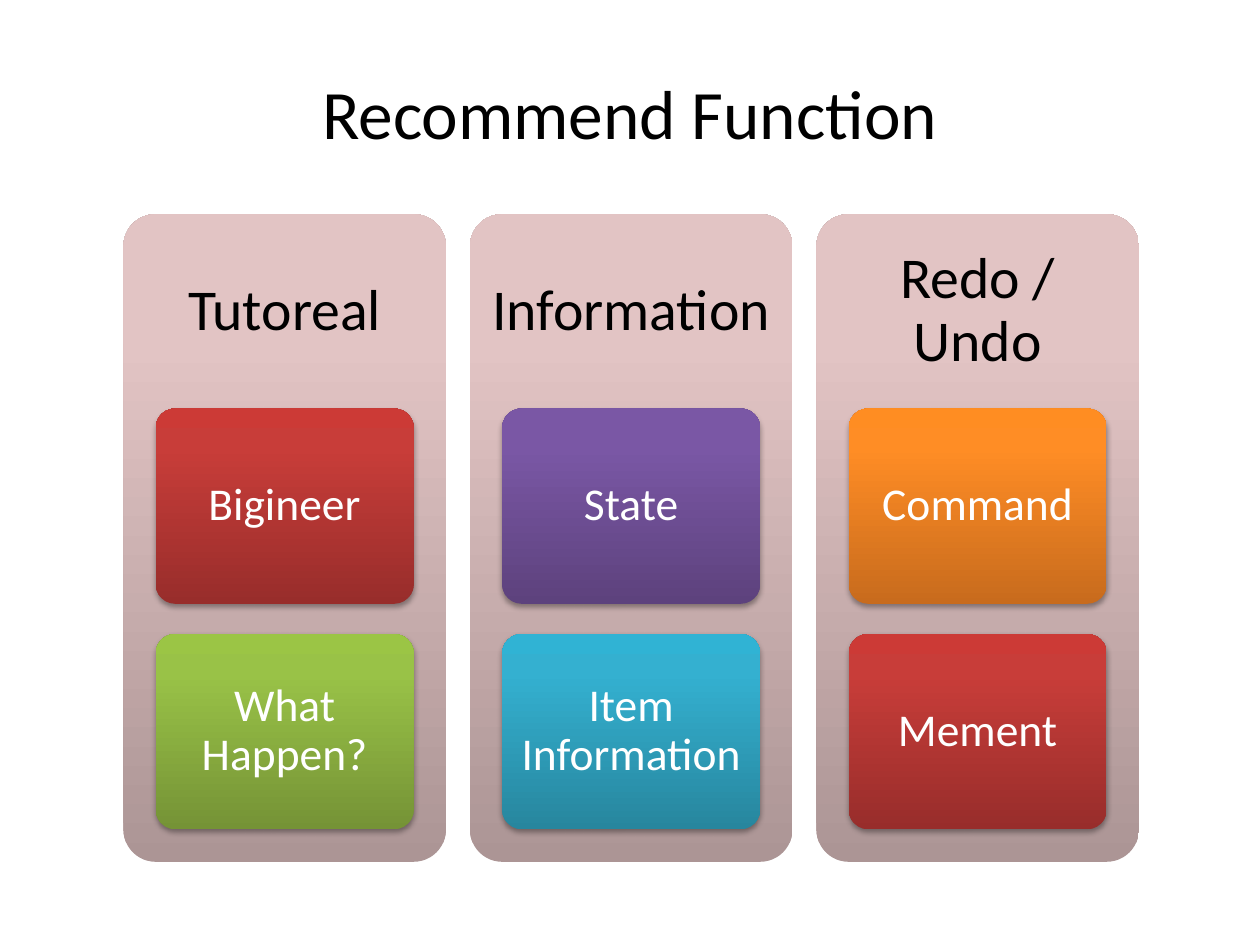
from dataclasses import dataclass

from lxml.etree import SubElement
from pptx import Presentation
from pptx.dml.color import RGBColor
from pptx.enum.shapes import MSO_SHAPE as Kind
from pptx.enum.text import MSO_ANCHOR as Anchor, PP_ALIGN as Align
from pptx.oxml.ns import qn
from pptx.util import Inches, Pt

WIDE, HIGH = 10, 7.5
FONT = "Calibri"

LEFT, TOP = 0.98, 1.7
STEP = 2.75
COL_W, COL_H = 2.56, 5.14
HEAD_H = 0.3 * COL_H
CARD_W, CARD_H = 0.8 * COL_W, 1.55
CARD_STEP = 1.79

# Gradient stops run from the bottom edge to the top edge.
PALE = ("AC9595", "E2C4C4", "E4C4C4")
RED = ("982D2B", "C83D39", "CC3A36")
GREEN = ("759336", "99C247", "9BC545")
PURPLE = ("5D427D", "7A57A5", "7A56A7")
BLUE = ("27869E", "34B0D0", "30B3D4")
ORANGE = ("C86B1D", "FF8D25", "FF8D22")
STOPS = (0, 80, 100)


@dataclass
class Card:
    text: str
    tones: tuple[str, str, str]


@dataclass
class Column:
    head: str
    cards: list[Card]


COLUMNS = [
    Column("Tutoreal", [Card("Bigineer", RED), Card("What Happen?", GREEN)]),
    Column("Information", [Card("State", PURPLE), Card("Item Information", BLUE)]),
    Column("Redo / Undo", [Card("Command", ORANGE), Card("Mement", RED)]),
]


def color(code: str) -> RGBColor:
    return RGBColor.from_string(code)


def write(shape, text: str, *, size: float, ink: str = "000000",
          pad: tuple[float, float] = (0.1, 0.05), lead: float = 0.9) -> None:
    frame = shape.text_frame
    frame.word_wrap = True
    frame.vertical_anchor = Anchor.MIDDLE
    frame.margin_left = frame.margin_right = Inches(pad[0])
    frame.margin_top = frame.margin_bottom = Inches(pad[1])
    para = frame.paragraphs[0]
    para.alignment = Align.CENTER
    para.line_spacing = lead
    run = para.add_run()
    run.text = text
    run.font.name = FONT
    run.font.size = Pt(size)
    run.font.color.rgb = color(ink)


def add_box(slide, x: float, y: float, w: float, h: float):
    return slide.shapes.add_textbox(Inches(x), Inches(y), Inches(w), Inches(h))


def shade(shape, tones: tuple[str, str, str]) -> None:
    """Fill with a three-stop gradient rising from the bottom."""
    shape.fill.gradient()
    shape.fill.gradient_angle = 90
    stops = shape._element.spPr.find(qn("a:gradFill")).find(qn("a:gsLst"))
    stops.clear()
    for pos, tone in zip(STOPS, tones):
        stop = SubElement(stops, qn("a:gs"), pos=str(pos * 1000))
        SubElement(stop, qn("a:srgbClr"), val=tone)


def add_panel(slide, x: float, y: float, w: float, h: float,
              tones: tuple[str, str, str]):
    panel = slide.shapes.add_shape(Kind.ROUNDED_RECTANGLE, Inches(x), Inches(y),
                                   Inches(w), Inches(h))
    panel.adjustments[0] = 0.1
    panel.shadow.inherit = False
    panel.line.fill.background()
    shade(panel, tones)
    return panel


def cast(shape) -> None:
    """Add a soft shadow below the shape."""
    effects = shape._element.spPr.find(qn("a:effectLst"))
    drop = SubElement(effects, qn("a:outerShdw"), blurRad=str(Pt(3.1)),
                      dist=str(Pt(1.8)), dir="5400000", rotWithShape="0")
    tone = SubElement(drop, qn("a:srgbClr"), val="000000")
    SubElement(tone, qn("a:alpha"), val="35000")


def add_column(slide, x: float, column: Column) -> None:
    add_panel(slide, x, TOP, COL_W, COL_H, PALE)
    head = add_box(slide, x, TOP, COL_W, HEAD_H)
    write(head, column.head, size=33, pad=(0.14, 0.14))
    for row, card in enumerate(column.cards):
        shape = add_panel(slide, x + (COL_W - CARD_W) / 2,
                          TOP + HEAD_H + row * CARD_STEP, CARD_W, CARD_H, card.tones)
        cast(shape)
        write(shape, card.text, size=26, ink="FFFFFF", pad=(0.06, 0.05))


def main() -> None:
    deck = Presentation()
    deck.slide_width, deck.slide_height = Inches(WIDE), Inches(HIGH)
    slide = deck.slides.add_slide(deck.slide_layouts[6])
    title = add_box(slide, 0.05 * WIDE, 0.04 * HIGH, 0.9 * WIDE, HIGH / 6)
    write(title, "Recommend Function", size=39.6)
    for index, column in enumerate(COLUMNS):
        add_column(slide, LEFT + index * STEP, column)
    deck.save("out.pptx")


if __name__ == "__main__":
    main()
